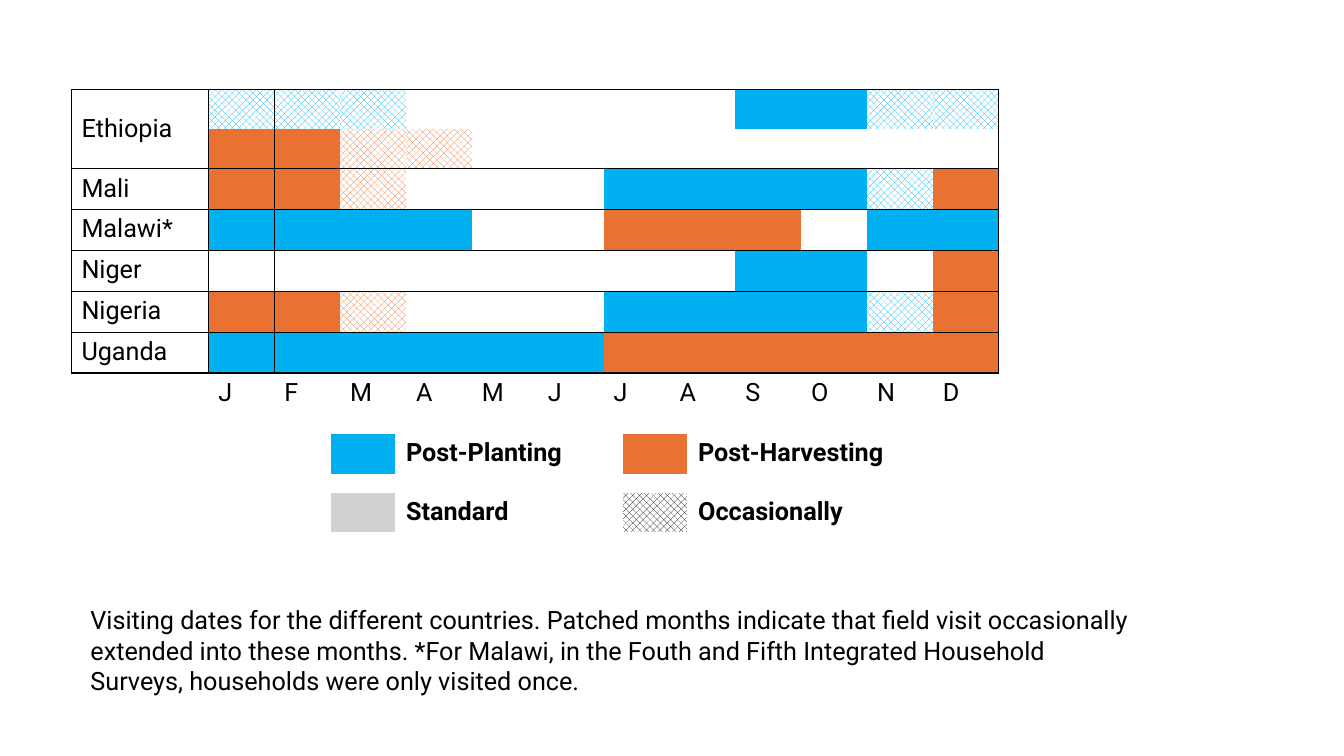
from lxml import etree
from pptx import Presentation
from pptx import util as u
from pptx.dml.color import RGBColor
from pptx.enum import dml, text
from pptx.oxml.ns import qn

BLACK = RGBColor(0x00, 0x00, 0x00)
WHITE = RGBColor(0xFF, 0xFF, 0xFF)
BLUE = RGBColor(0x00, 0xB0, 0xF0)
ORANGE = RGBColor(0xE9, 0x71, 0x32)
GRAY = RGBColor(0xD1, 0xD1, 0xD1)
NO_STYLE = "{2D5ABB26-0587-4C30-8999-92F81FD0307C}"

FILLS = {
    "P": (BLUE, False), "p": (BLUE, True),
    "H": (ORANGE, False), "h": (ORANGE, True),
    "S": (GRAY, False), "o": (BLACK, True),
}
VISITS = [
    ("Ethiopia", "ppp.....PPpp"),
    ("", "HHhh........"),
    ("Mali", "HHh...PPPPpH"),
    ("Malawi*", "PPPP..HHH.PP"),
    ("Niger", "........PP.H"),
    ("Nigeria", "HHh...PPPPpH"),
    ("Uganda", "PPPPPPHHHHHH"),
]
MONTHS = "JFMAMJJASOND"
LEGENDS = [
    (10.92, [("P", "Post-Planting"), ("H", "Post-Harvesting")]),
    (12.4, [("S", "Standard"), ("o", "Occasionally")]),
]


def write(frame, content, size=18, bold=False, color=BLACK, font="Roboto"):
    run = frame.paragraphs[0].add_run()
    run.text = content
    run.font.name = font
    run.font.size = u.Pt(size)
    run.font.bold = bold
    run.font.color.rgb = color


def style_cell(cell, code=".", sides="", line=BLACK):
    properties = cell._tc.get_or_add_tcPr()
    for side in "LRTB":
        if side in sides:
            border = etree.SubElement(properties, qn(f"a:ln{side}"), w="12700")
            solid = etree.SubElement(border, qn("a:solidFill"))
            etree.SubElement(solid, qn("a:srgbClr"), val=str(line))
    if code not in FILLS:
        cell.fill.background()
        return
    color, patterned = FILLS[code]
    if patterned:
        cell.fill.patterned()
        cell.fill.pattern = dml.MSO_PATTERN.PERCENT_50
        cell.fill.fore_color.rgb = color
        cell.fill.back_color.rgb = WHITE
    else:
        cell.fill.solid()
        cell.fill.fore_color.rgb = color
    cell.margin_top = cell.margin_bottom = 0


presentation = Presentation()
presentation.slide_width = u.Cm(33.87)
presentation.slide_height = u.Cm(19.05)
slide = presentation.slides.add_slide(presentation.slide_layouts[6])

calendar = slide.shapes.add_table(
    8, 13, u.Cm(1.8), u.Cm(2.26), u.Cm(23.4), u.Cm(8.16)).table
legends = [
    slide.shapes.add_table(
        1, 4, u.Cm(8.32), u.Cm(top), u.Cm(15.58), u.Cm(1.03)).table
    for top, entries in LEGENDS
]
for table in [calendar, *legends]:
    table.first_row = False
    table.horz_banding = False
    table._tbl.tblPr.find(qn("a:tableStyleId")).text = NO_STYLE

for index, column in enumerate(calendar.columns):
    column.width = u.Cm(1.66 if index else 3.45)
for index, row in enumerate(calendar.rows):
    row.height = u.Cm(0.99 if index < 2 else 1.03)

for index, (country, months) in enumerate(VISITS):
    edges = {0: "T", 1: "B"}.get(index, "TB")
    label = calendar.cell(index, 0)
    style_cell(label, sides="LRTB" if country else "LRB")
    if country:
        write(label.text_frame, country)
    for month, code in enumerate(months, 1):
        cell = calendar.cell(index, month)
        ends = {1: "L", 12: "R"}.get(month, "")
        style_cell(cell, code, edges + ends)
        cell.margin_top = cell.margin_bottom = 0
calendar.cell(0, 0).merge(calendar.cell(1, 0))
calendar.cell(0, 0).vertical_anchor = text.MSO_ANCHOR.MIDDLE

style_cell(calendar.cell(7, 0), sides="T")
for month, initial in enumerate(MONTHS, 1):
    cell = calendar.cell(7, month)
    style_cell(cell, sides="T")
    write(cell.text_frame, initial)

for table, (top, entries) in zip(legends, LEGENDS):
    for column, width in zip(table.columns, (1.66, 5.71, 1.65, 6.56)):
        column.width = u.Cm(width)
    for index, (code, name) in enumerate(entries):
        swatch, label = table.cell(0, 2 * index), table.cell(0, 2 * index + 1)
        style_cell(swatch, code, "LRTB", WHITE)
        style_cell(label, sides="LRTB", line=WHITE)
        write(label.text_frame, name, bold=True)

caption = slide.shapes.add_textbox(u.Cm(2.03), u.Cm(15.11), u.Cm(26.95), u.Cm(2.57))
caption.text_frame.word_wrap = True
caption.text_frame.auto_size = text.MSO_AUTO_SIZE.SHAPE_TO_FIT_TEXT
write(caption.text_frame,
      "Visiting dates for the different countries. Patched months indicate that "
      "field visit occasionally extended into these months. *For Malawi, in the "
      "Fouth and Fifth Integrated Household Surveys, households were only visited once.")

presentation.save("out.pptx")
